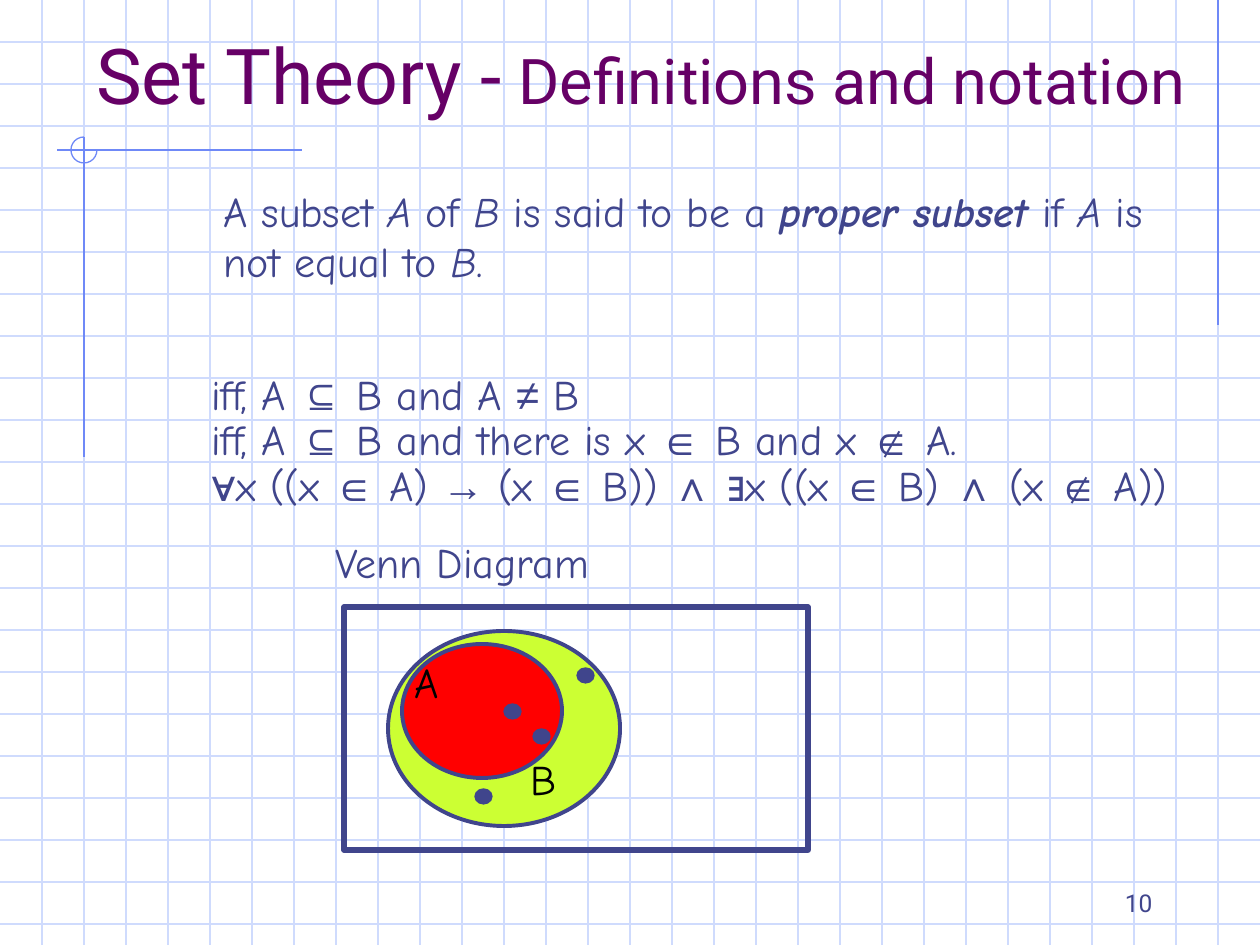
"""Build the set theory slide on proper subsets with its Venn diagram."""
from itertools import groupby

from lxml.etree import SubElement
from pptx import Presentation
from pptx.dml.color import RGBColor
from pptx.enum.shapes import MSO_CONNECTOR as Link, MSO_SHAPE as Shape
from pptx.enum.text import MSO_ANCHOR as Anchor, PP_ALIGN as Align
from pptx.oxml.ns import qn
from pptx.util import Pt

PX = 914400 / 126
WIDTH, HEIGHT, STEP = 1260, 945, 42
GRID, RULE, INK, PLUM = "CFDBFD", "6F89F7", "40458C", "660066"
SYMBOLS = "⊆≠∈∉∀∃→∧"


def emu(*lengths):
    return [round(length * PX) for length in lengths]


def paint(color_format, color):
    color_format.rgb = RGBColor.from_string(color)


deck = Presentation()
deck.slide_width, deck.slide_height = emu(WIDTH, HEIGHT)
slide = deck.slides.add_slide(deck.slide_layouts[6])

rules = [(0, y, WIDTH, y, GRID) for y in range(STEP, HEIGHT, STEP)]
rules += [(x, 0, x, HEIGHT, GRID) for x in range(STEP, WIDTH, STEP)]
rules += [
    (1218, 0, 1218, 325, RULE),
    (302, 150, 57, 150, RULE),
    (84, 137, 84, 457, RULE),
]
for *ends, color in rules:
    rule = slide.shapes.add_connector(Link.STRAIGHT, *emu(*ends))
    rule.line.width = Pt(0.75)
    paint(rule.line.color, color)
    SubElement(rule._element.spPr, qn("a:effectLst"))

outlines = [
    (Shape.ARC, 71, 137, 26, 26, None, RULE, 0.75),
    (Shape.RECTANGLE, 344, 607, 464, 243, None, INK, 3),
    (Shape.OVAL, 388, 631, 232, 195, "CCFF33", INK, 2.25),
    (Shape.OVAL, 402, 644, 160, 134, "FF0000", INK, 2.25),
]
elements = [(504, 704), (533, 729), (475, 789), (577, 668)]
outlines += [(Shape.OVAL, x, y, 17, 15, INK, INK, 0.75) for x, y in elements]
for kind, *place, fill, line, weight in outlines:
    outline = slide.shapes.add_shape(kind, *emu(*place))
    outline.shadow.inherit = False
    if fill:
        outline.fill.solid()
        paint(outline.fill.fore_color, fill)
    else:
        outline.fill.background()
    outline.line.width = Pt(weight)
    paint(outline.line.color, line)
    if kind == Shape.ARC:
        outline.adjustments[0], outline.adjustments[1] = 0, 162

heading = [[("Set Theory -", {}), (" Definitions and notation", {"size": Pt(36)})]]
slanted = {"italic": True}
definition = [[
    ("A subset ", {}), ("A ", slanted), ("of ", {}), ("B", slanted),
    (" is said to be a ", {}), ("proper subset", {"bold": True, "italic": True}),
    (" if ", {}), ("A ", slanted), ("is not equal to ", {}), ("B", slanted), (".", {}),
]]
conditions = [
    "iff, A ⊆ B and A ≠ B",
    "iff, A ⊆ B and there is x ∈ B and x ∉ A.",
    "∀x ((x ∈ A) → (x ∈ B)) ∧ ∃x ((x ∈ B) ∧ (x ∉ A))",
]
notation = [
    [("".join(part), {"name": "Arial"} if symbol else {})
     for symbol, part in groupby(line, lambda letter: letter in SYMBOLS)]
    for line in conditions
]

title_font = {"name": "Roboto", "size": Pt(44)}
number_font = {"name": "Roboto", "size": Pt(14)}
body_font = {"name": "Comic Neue", "size": Pt(24)}
left, tight = {"alignment": Align.LEFT}, {"alignment": Align.LEFT, "line_spacing": 0.9}
centered = {"alignment": Align.CENTER, "line_spacing": 0.9}
right = {"alignment": Align.RIGHT}
texts = [
    ((903, 892, 262, 32), [[("10", {})]], number_font, INK, right, Anchor.BOTTOM),
    ((84, 42, 1134, 84), heading, title_font, PLUM, left, Anchor.BOTTOM),
    ((163, 179, 1024, 683), definition, body_font, INK, left, Anchor.TOP),
    ((199, 368, 1008, 168), notation, body_font, INK, tight, Anchor.TOP),
    ((315, 536, 294, 58), [[("Venn Diagram", {})]], body_font, INK, centered, Anchor.TOP),
    ((402, 656, 73, 73), [[("A", {})]], body_font, "000000", tight, Anchor.TOP),
    ((518, 753, 87, 84), [[("B", {})]], body_font, "000000", tight, Anchor.TOP),
]
for place, lines, font, color, layout, anchor in texts:
    frame = slide.shapes.add_textbox(*emu(*place)).text_frame
    frame.word_wrap = True
    frame.vertical_anchor = anchor
    for index, line in enumerate(lines):
        paragraph = frame.add_paragraph() if index else frame.paragraphs[0]
        for key, value in layout.items():
            setattr(paragraph, key, value)
        if lines is definition:
            paragraph._p.get_or_add_pPr().set("marL", str(emu(48)[0]))
        for words, accents in line:
            run = paragraph.add_run()
            run.text = words
            for key, value in {**font, **accents}.items():
                setattr(run.font, key, value)
            paint(run.font.color, color)

deck.save("out.pptx")
